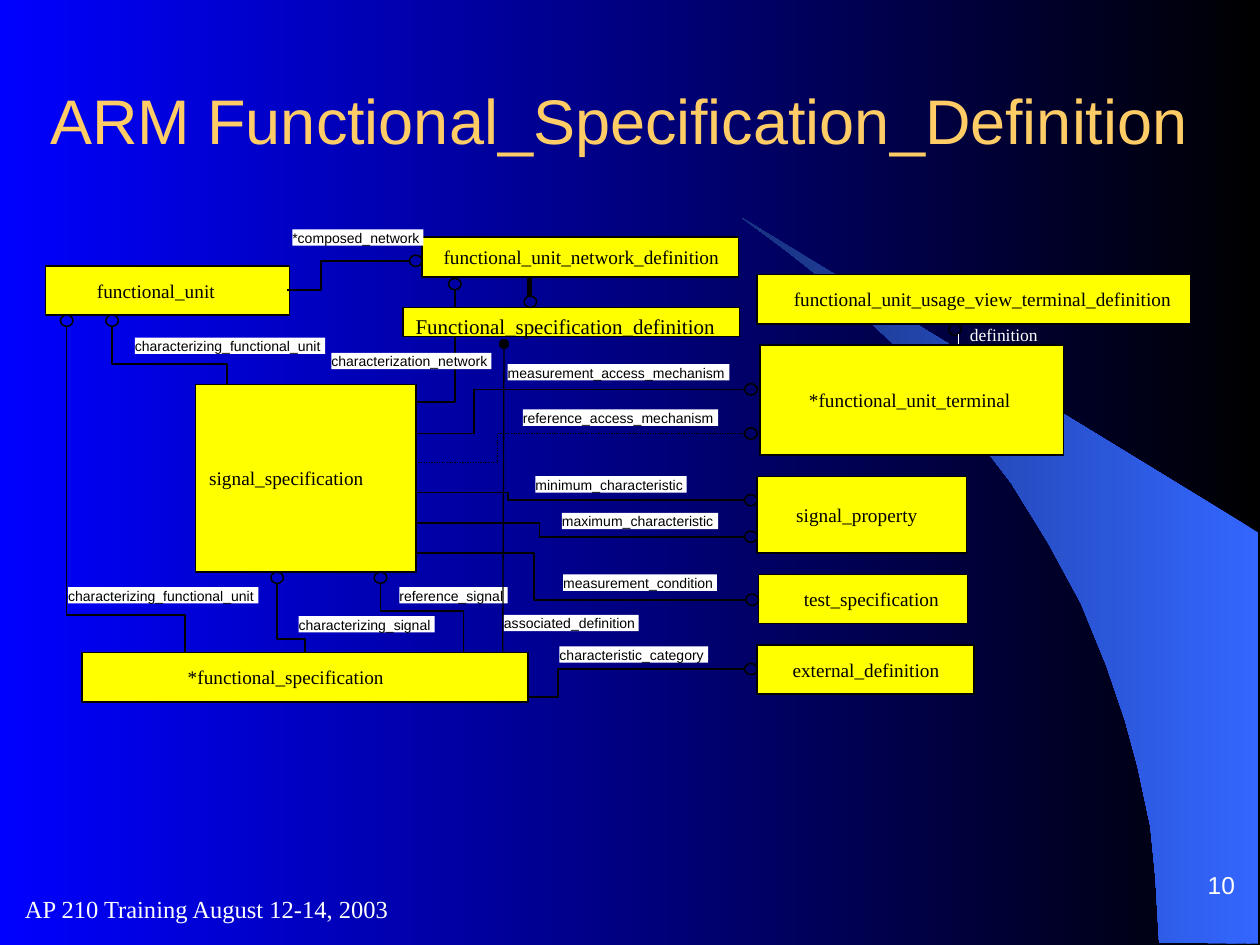
import pptx
import pptx.util
import pptx.dml.color
import pptx.enum.dml
import pptx.enum.shapes
import pptx.enum.text
from lxml import etree
from pptx.oxml.ns import qn

RGBColor = pptx.dml.color.RGBColor
Pt = pptx.util.Pt
MSO_SHAPE = pptx.enum.shapes.MSO_SHAPE
ANCHOR = pptx.enum.text.MSO_ANCHOR
ALIGN = pptx.enum.text.PP_ALIGN

BLACK = RGBColor(0x00, 0x00, 0x00)
WHITE = RGBColor(0xFF, 0xFF, 0xFF)
BLUE = RGBColor(0x00, 0x00, 0xFF)
YELLOW = RGBColor(0xFF, 0xFF, 0x00)
GOLD = RGBColor(0xFF, 0xCC, 0x66)
SWOOSH_LIGHT = RGBColor(0x33, 0x66, 0xFF)
SWOOSH_DARK = RGBColor(0x19, 0x32, 0x7E)
SERIF, SANS = "Times New Roman", "Arial"

# All positions are on an inch grid: left, top, width, height.
CM_PER_UNIT = 2.54
LINE_WIDTH = 0.88
RING_WIDTH, RING_HEIGHT = 0.1, 0.09
LABEL_HEIGHT = 0.13

SWOOSH = [
    (9.2, 7.48), (9.99, 7.49), (9.99, 4.23), (5.89, 1.73), (6.24, 1.99), (6.53, 2.22),
    (6.85, 2.5), (7.16, 2.8), (7.62, 3.3), (8.03, 3.84), (8.32, 4.31), (8.58, 4.79),
    (8.78, 5.28), (8.93, 5.72), (9.03, 6.09), (9.13, 6.56), (9.17, 6.96),
]

# Entity, frame, left indent of its name
ENTITIES = [
    ("functional_unit_network_definition", (3.35, 1.88, 2.51, 0.32), 0.17),
    ("external_definition", (6.01, 5.12, 1.72, 0.39), 0.28),
    ("test_specification", (6.02, 4.56, 1.66, 0.39), 0.36),
    ("*functional_unit_terminal", (6.03, 2.74, 2.41, 0.87), 0.39),
    ("functional_unit_usage_view_terminal_definition", (6.01, 2.18, 3.44, 0.39), 0.29),
    ("signal_property", (6.01, 3.78, 1.66, 0.61), 0.31),
    ("functional_unit", (0.36, 2.11, 1.94, 0.39), 0.41),
    ("*functional_specification", (0.65, 5.18, 3.54, 0.39), 0.84),
    ("signal_specification", (1.55, 3.05, 1.75, 1.49), 0.11),
]

# Attribute, label (left, top, width), route that ends at a ring
ATTRIBUTES = [
    ("*composed_network", (2.32, 1.82, 1.04),
     [(2.28, 2.3), (2.55, 2.3), (2.55, 2.07), (3.25, 2.07)]),
    ("reference_signal", (3.17, 4.66, 0.86),
     [(3.68, 5.18), (3.68, 4.85), (3.02, 4.85), (3.02, 4.63)]),
    ("measurement_condition", (4.47, 4.56, 1.22),
     [(3.3, 4.39), (4.24, 4.39), (4.24, 4.76), (5.92, 4.76)]),
    ("measurement_access_mechanism", (4.03, 2.89, 1.76),
     [(3.3, 3.44), (3.76, 3.44), (3.76, 3.09), (5.91, 3.09)]),
    ("reference_access_mechanism", (4.15, 3.25, 1.55),
     [(3.3, 3.67), (3.95, 3.67), (3.95, 3.44), (5.91, 3.44)]),
    ("minimum_characteristic", (4.25, 3.78, 1.2),
     [(3.3, 3.91), (4.03, 3.91), (4.03, 3.97), (5.91, 3.97)]),
    ("maximum_characteristic", (4.46, 4.07, 1.24),
     [(3.3, 4.15), (4.28, 4.15), (4.28, 4.26), (5.91, 4.26)]),
    ("characterization_network", (2.63, 2.8, 1.27),
     [(3.3, 3.19), (3.61, 3.19), (3.61, 2.3)]),
    ("characterizing_functional_unit", (1.07, 2.68, 1.51),
     [(1.8, 3.05), (1.8, 2.89), (0.89, 2.89), (0.89, 2.59)]),
    ("characterizing_functional_unit", (0.54, 4.66, 1.51),
     [(1.47, 5.18), (1.47, 4.88), (0.53, 4.88), (0.53, 2.59)]),
    ("characterizing_signal", (2.37, 4.89, 1.08),
     [(2.42, 5.18), (2.42, 5.07), (2.2, 5.07), (2.2, 4.63)]),
    ("characteristic_category", (4.44, 5.13, 1.18),
     [(4.19, 5.53), (4.43, 5.53), (4.43, 5.31), (5.91, 5.31)]),
]
DOTTED_ATTRIBUTE = "reference_access_mechanism"


def grid(*values):
    """Turn grid positions into lengths."""
    return [pptx.util.Cm(value * CM_PER_UNIT) for value in values]


def set_gradient(fill, start, end):
    """Run from start at the right to end at the left."""
    fill.gradient()
    fill.gradient_angle = 180
    for stop, position, color in zip(fill.gradient_stops, (0, 1), (start, end)):
        stop.position = position
        stop.color.rgb = color


def set_line(line, color=BLACK, width=LINE_WIDTH):
    line.color.rgb = color
    line.width = Pt(width)


def write(shape, text, size, font, color, insets=(0, 0, 0, 0),
          anchor=ANCHOR.TOP, align=ALIGN.LEFT):
    frame = shape.text_frame
    frame.word_wrap = True
    frame.vertical_anchor = anchor
    (frame.margin_left, frame.margin_top,
     frame.margin_right, frame.margin_bottom) = grid(*insets)
    frame.text = text
    paragraph = frame.paragraphs[0]
    paragraph.alignment = align
    paragraph.font.size = Pt(size)
    paragraph.font.name = font
    paragraph.font.color.rgb = color


def add_text(shapes, place, *args, **kwargs):
    write(shapes.add_textbox(*grid(*place)), *args, **kwargs)


def add_filled(shapes, place, color, outlined):
    shape = shapes.add_shape(MSO_SHAPE.RECTANGLE, *grid(*place))
    shape.shadow.inherit = False
    shape.fill.solid()
    shape.fill.fore_color.rgb = color
    if outlined:
        set_line(shape.line)
    else:
        shape.line.fill.background()
    return shape


def add_label(shapes, text, place):
    label = add_filled(shapes, (*place, LABEL_HEIGHT), WHITE, outlined=False)
    write(label, text, 8, SANS, BLACK)


def add_ring(shapes, left, top):
    ring = shapes.add_shape(MSO_SHAPE.OVAL, *grid(left, top, RING_WIDTH, RING_HEIGHT))
    ring.shadow.inherit = False
    ring.fill.background()
    set_line(ring.line)


def add_outline(shapes, points, close):
    start, *rest = [grid(*point) for point in points]
    builder = shapes.build_freeform(*start, scale=1.0)
    builder.add_line_segments(rest, close=close)
    shape = builder.convert_to_shape()
    shape.shadow.inherit = False
    return shape


def add_route(shapes, points, dotted):
    route = add_outline(shapes, points, close=False)
    route.fill.background()
    set_line(route.line, width=0 if dotted else LINE_WIDTH)
    if dotted:
        route.line.dash_style = pptx.enum.dml.MSO_LINE.ROUND_DOT
    (before_x, _), (x, y) = points[-2:]
    if before_x == x:
        add_ring(shapes, x - RING_WIDTH / 2, y - RING_HEIGHT)
    else:
        add_ring(shapes, x, y - RING_HEIGHT / 2)


def add_line(shapes, start, end, color, width, oval_end=False):
    line = shapes.add_connector(pptx.enum.shapes.MSO_CONNECTOR.STRAIGHT,
                                *grid(*start, *end))
    set_line(line.line, color, width)
    if oval_end:
        etree.SubElement(line.line._get_or_add_ln(), qn("a:tailEnd"), type="oval")
    etree.SubElement(line._element.spPr, qn("a:effectLst"))


def main():
    presentation = pptx.Presentation()
    presentation.slide_width, presentation.slide_height = grid(10, 7.5)
    slide = presentation.slides.add_slide(presentation.slide_layouts[6])
    shapes = slide.shapes
    set_gradient(slide.background.fill, BLACK, BLUE)
    swoosh = add_outline(shapes, SWOOSH, close=True)
    set_gradient(swoosh.fill, SWOOSH_LIGHT, SWOOSH_DARK)
    swoosh.line.fill.background()

    add_text(shapes, (0.3, 0.5, 9.4, 0.9), "ARM Functional_Specification_Definition",
             36, SANS, GOLD, (0.1, 0.05, 0.1, 0.05), ANCHOR.MIDDLE)
    for name, place, indent in ENTITIES:
        write(add_filled(shapes, place, YELLOW, outlined=True), name, 11, SERIF, BLACK,
              (indent, 0, 0, 0), ANCHOR.MIDDLE)
    for name, place, points in ATTRIBUTES:
        add_route(shapes, points, dotted=name == DOTTED_ATTRIBUTE)
        add_label(shapes, name, place)

    add_ring(shapes, 7.53, 2.57)
    add_line(shapes, (7.61, 2.73), (7.61, 2.65), WHITE, 0.75)
    add_text(shapes, (7.6, 2.52, 0.74, 0.27), "definition", 10, SERIF, WHITE,
             (0.1, 0.05, 0, 0.05))
    add_line(shapes, (3.99, 5.17), (4, 2.73), BLACK, 0.75, oval_end=True)
    subtype = add_filled(shapes, (3.2, 2.44, 2.67, 0.23), YELLOW, outlined=True)
    write(subtype, "Functional_specification_definition", 12, SERIF, BLACK,
          (0.1, 0.05, 0.1, 0.05))
    add_label(shapes, "associated_definition", (4, 4.88, 1.07))
    add_ring(shapes, 4.16, 2.35)
    add_line(shapes, (4.2, 2.2), (4.2, 2.35), BLACK, 3)

    add_text(shapes, (0.1, 6.96, 4.67, 0.5), "AP 210 Training August 12-14, 2003",
             14, SERIF, WHITE, (0.1, 0.05, 0.1, 0.05), ANCHOR.MIDDLE)
    add_text(shapes, (7.85, 6.72, 2.05, 0.42), "10", 14, SANS, WHITE,
             (0.1, 0, 0.1, 0), ANCHOR.BOTTOM, ALIGN.RIGHT)
    presentation.save("out.pptx")


if __name__ == "__main__":
    main()
